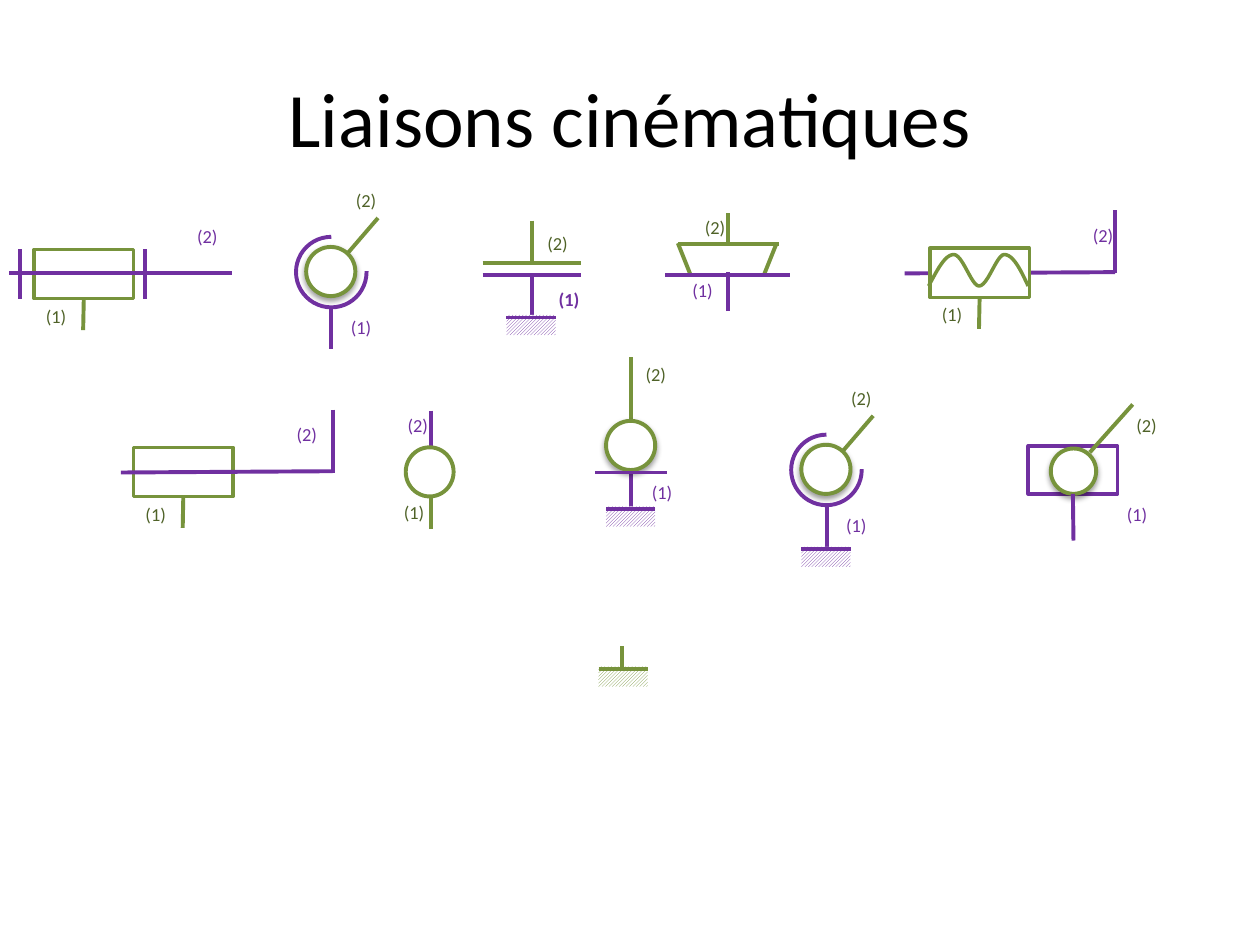
from lxml.etree import SubElement
from pptx import Presentation
from pptx.dml.color import RGBColor
from pptx.enum.dml import MSO_PATTERN
from pptx.enum.shapes import MSO_CONNECTOR, MSO_SHAPE
from pptx.enum.text import MSO_ANCHOR, MSO_AUTO_SIZE, PP_ALIGN
from pptx.oxml.ns import qn
from pptx.util import Inches, Pt

GREEN = RGBColor(0x77, 0x93, 0x3C)
DARK_GREEN = RGBColor(0x4F, 0x62, 0x28)
PURPLE = RGBColor(0x70, 0x30, 0xA0)
BLACK = RGBColor(0, 0, 0)
WHITE = RGBColor(0xFF, 0xFF, 0xFF)
BOTTOM = 2


def write_text(shape, text, size=10.5, color=BLACK, bold=False, align=PP_ALIGN.CENTER):
    paragraph = shape.text_frame.paragraphs[0]
    paragraph.alignment = align
    run = paragraph.add_run()
    run.text = text
    run.font.name = "Calibri"
    run.font.size = Pt(size)
    run.font.bold = bold
    run.font.color.rgb = color


def bezier_points(start, control_1, control_2, end, steps=12):
    """Points on a cubic curve, without its start."""
    points = []
    for step in range(1, steps + 1):
        t = step / steps
        weights = ((1 - t) ** 3, 3 * t * (1 - t) ** 2, 3 * t * t * (1 - t), t ** 3)
        corners = (start, control_1, control_2, end)
        points.append(tuple(sum(w * corner[axis] for w, corner in zip(weights, corners))
                            for axis in (0, 1)))
    return points


class JointDrawing:
    """Holds the line style and the group that receives new shapes."""

    line_width = 2.25
    box_line_width = 2

    def __init__(self, slide):
        self.slide = slide
        self.shapes = slide.shapes

    def start_group(self):
        self.shapes = self.slide.shapes.add_group_shape().shapes

    def title(self, text):
        title = self.slide.shapes.title
        title.left, title.top = Inches(0.5), Inches(0.3)
        title.width, title.height = Inches(9), Inches(1.25)
        title.text_frame.vertical_anchor = MSO_ANCHOR.MIDDLE
        write_text(title, text, size=44)

    def label(self, text, left, top, color, width=0.39, bold=False):
        box = self.shapes.add_textbox(Inches(left), Inches(top), Inches(width), Inches(0.29))
        box.text_frame.word_wrap = True
        box.text_frame.auto_size = MSO_AUTO_SIZE.SHAPE_TO_FIT_TEXT
        write_text(box, text, color=color, bold=bold)

    def line(self, x1, y1, x2, y2, color):
        connector = self.shapes.add_connector(
            MSO_CONNECTOR.STRAIGHT, Inches(x1), Inches(y1), Inches(x2), Inches(y2))
        connector.line.color.rgb = color
        connector.line.width = Pt(self.line_width)
        SubElement(connector._element.spPr, qn("a:effectLst"))
        return connector

    def outline(self, preset, left, top, width, height, color, weight=line_width, fill=WHITE):
        shape = self.shapes.add_shape(
            preset, Inches(left), Inches(top), Inches(width), Inches(height))
        shape.shadow.inherit = False
        if fill is None:
            shape.fill.background()
        else:
            shape.fill.solid()
            shape.fill.fore_color.rgb = fill
        shape.line.color.rgb = color
        shape.line.width = Pt(weight)
        return shape

    def box(self, left, top, width, height, color):
        return self.outline(MSO_SHAPE.RECTANGLE, left, top, width, height, color,
                            self.box_line_width)

    def ball(self, left, top, diameter):
        """Circle with a soft shadow below it."""
        ball = self.outline(MSO_SHAPE.OVAL, left, top, diameter, diameter, GREEN)
        effects = ball._element.spPr.find(qn("a:effectLst"))
        shadow = SubElement(effects, qn("a:outerShdw"), blurRad="40000", dist="20000",
                            dir="5400000", rotWithShape="0")
        shade = SubElement(shadow, qn("a:srgbClr"), val="000000")
        SubElement(shade, qn("a:alpha"), val="38000")

    def stem(self, box, x, top, length, color):
        """Line hanging from the middle of a box's lower side."""
        connector = self.line(x, top + length, x, top, color)
        connector.end_connect(box, BOTTOM)

    def ground(self, left, top, color):
        hatch = self.shapes.add_shape(
            MSO_SHAPE.RECTANGLE, Inches(left), Inches(top), Inches(0.39), Inches(0.16))
        hatch.shadow.inherit = False
        hatch.fill.patterned()
        hatch.fill.pattern = MSO_PATTERN.LIGHT_UPWARD_DIAGONAL
        hatch.fill.fore_color.rgb = color
        hatch.fill.back_color.rgb = WHITE
        hatch.line.fill.background()
        self.line(left, top + 0.02, left + 0.39, top + 0.02, color)

    def sleeve(self, left, top):
        box = self.box(left, top, 0.79, 0.39, GREEN)
        self.stem(box, left + 0.39, top + 0.39, 0.25, GREEN)
        self.label("(1)", left - 0.02, top + 0.39, DARK_GREEN)

    def crank(self, shaft_start, x, y, label_left):
        """Shaft that turns upwards at (x, y)."""
        self.line(x, y - 0.49, x, y + 0.01, PURPLE)
        self.line(x, y, shaft_start, y + 0.01, PURPLE)
        self.label("(2)", label_left, y - 0.43, PURPLE)

    def spherical_joint(self, left, top):
        self.start_group()
        center_x, center_y = left + 0.2, top + 0.2
        self.line(center_x, center_y, center_x + 0.37, center_y - 0.43, GREEN)
        self.ball(left, top, 0.39)
        self.line(center_x, top + 0.81, center_x, top + 0.49, PURPLE)
        cup = self.outline(MSO_SHAPE.ARC, left - 0.08, top - 0.08, 0.56, 0.56, PURPLE, fill=None)
        cup.adjustments[0], cup.adjustments[1] = 215.14, 161.98
        self.label("(1)", left + 0.24, top + 0.5, PURPLE)
        self.label("(2)", left + 0.28, top - 0.51, DARK_GREEN)

    def revolute_joint(self):
        self.start_group()
        self.sleeve(0.27, 1.98)
        self.line(1.84, 2.17, 0.07, 2.17, PURPLE)
        for x in (0.16, 1.15):
            self.line(x, 1.98, x, 2.37, PURPLE)
        self.label("(2)", 1.45, 1.74, PURPLE)

    def planar_joint(self):
        self.start_group()
        for y, color in ((2.09, GREEN), (2.18, PURPLE)):
            self.line(3.83, y, 4.61, y, color)
        self.line(4.22, 1.75, 4.22, 2.07, GREEN)
        self.line(4.22, 2.19, 4.22, 2.51, PURPLE)
        self.label("(2)", 4.23, 1.79, DARK_GREEN)
        self.label("(1)", 4.32, 2.24, PURPLE, bold=True)
        self.ground(4.02, 2.5, PURPLE)

    def line_contact_joint(self):
        self.start_group()
        self.line(5.78, 2.47, 5.78, 2.16, PURPLE)
        self.line(5.48, 2.18, 5.38, 1.93, GREEN)
        self.line(6.06, 2.19, 6.16, 1.94, GREEN)
        self.line(6.27, 2.18, 5.28, 2.18, PURPLE)
        self.line(6.18, 1.94, 5.38, 1.94, GREEN)
        self.line(5.78, 1.93, 5.78, 1.69, GREEN)
        self.label("(1)", 5.38, 2.17, PURPLE)
        self.label("(2)", 5.48, 1.67, DARK_GREEN)

    def helical_joint(self):
        self.start_group()
        self.crank(7.18, 8.85, 2.16, 8.56)
        self.sleeve(7.38, 1.97)
        knots = [(7.37, 2.27), (7.44, 2.14), (7.5, 2.02), (7.57, 2.02), (7.64, 2.02),
                 (7.71, 2.27), (7.77, 2.27), (7.84, 2.27), (7.91, 2.02), (7.97, 2.02),
                 (8.04, 2.02), (8.1, 2.14), (8.16, 2.27)]
        builder = self.shapes.build_freeform(Inches(knots[0][0]), Inches(knots[0][1]))
        for first in range(0, len(knots) - 1, 3):
            points = bezier_points(*knots[first:first + 4])
            builder.add_line_segments([(Inches(x), Inches(y)) for x, y in points], close=False)
        thread = builder.convert_to_shape()
        thread.shadow.inherit = False
        thread.fill.background()
        thread.line.color.rgb = GREEN
        thread.line.width = Pt(self.box_line_width)

    def cylindrical_joint(self):
        self.start_group()
        self.sleeve(1.06, 3.55)
        self.crank(0.96, 2.64, 3.74, 2.24)

    def pivot_end_view(self):
        self.start_group()
        self.line(3.42, 4.2, 3.42, 3.76, GREEN)
        self.line(3.42, 3.26, 3.42, 3.75, PURPLE)
        self.outline(MSO_SHAPE.OVAL, 3.22, 3.55, 0.38, 0.39, GREEN)
        self.label("(2)", 3.12, 3.24, PURPLE)
        self.label("(1)", 3.09, 3.93, DARK_GREEN)

    def point_contact_joint(self):
        self.start_group()
        self.line(5.01, 4.05, 5.01, 3.74, PURPLE)
        self.line(5.01, 3.36, 5.01, 2.83, GREEN)
        self.ball(4.81, 3.34, 0.39)
        self.line(5.29, 3.75, 4.72, 3.75, PURPLE)
        self.label("(1)", 5.06, 3.77, PURPLE)
        self.label("(2)", 5.01, 2.83, DARK_GREEN)
        self.ground(4.81, 4.02, PURPLE)

    def ball_in_cylinder_joint(self):
        self.start_group()
        guide = self.box(8.16, 3.54, 0.71, 0.38, PURPLE)
        self.ball(8.34, 3.56, 0.36)
        self.line(8.65, 3.59, 8.99, 3.21, GREEN)
        self.stem(guide, 8.52, 3.92, 0.37, PURPLE)
        self.label("(1)", 8.69, 3.94, PURPLE, width=0.67)
        self.label("(2)", 8.85, 3.24, DARK_GREEN, width=0.5)


def main():
    presentation = Presentation()
    presentation.slide_width, presentation.slide_height = Inches(10), Inches(7.5)
    drawing = JointDrawing(presentation.slides.add_slide(presentation.slide_layouts[5]))
    drawing.title("Liaisons cinématiques")
    drawing.revolute_joint()
    drawing.spherical_joint(2.43, 1.96)
    drawing.planar_joint()
    drawing.line_contact_joint()
    drawing.helical_joint()
    drawing.cylindrical_joint()
    drawing.pivot_end_view()
    drawing.point_contact_joint()
    drawing.spherical_joint(6.36, 3.53)
    drawing.ground(6.36, 4.34, PURPLE)
    drawing.ball_in_cylinder_joint()
    drawing.start_group()
    drawing.ground(4.75, 5.29, GREEN)
    drawing.line(4.94, 5.13, 4.94, 5.31, GREEN)
    presentation.save("out.pptx")


if __name__ == "__main__":
    main()
